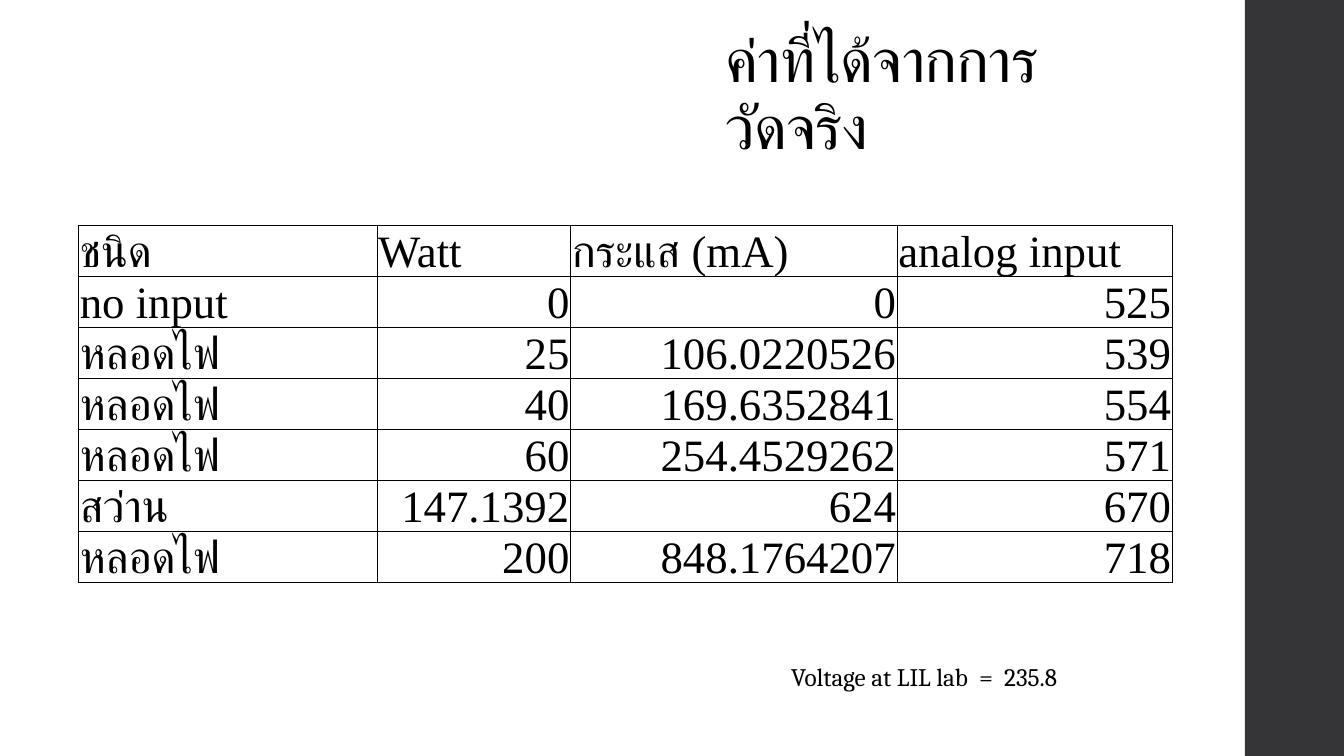
from pptx import Presentation
from pptx.dml.color import RGBColor
from pptx.enum.shapes import MSO_SHAPE as Kind
from pptx.enum.text import MSO_ANCHOR as Anchor, MSO_AUTO_SIZE as Fit, PP_ALIGN as Align
from pptx.oxml import parse_xml
from pptx.util import Cm, Pt

TITLE = "ค่าที่ได้จากการวัดจริง"
NOTE = "Voltage at LIL lab  =  235.8 "
ROWS = [
    ("ชนิด", "Watt ", "กระแส (mA)", "analog input"),
    ("no input", "0", "0", "525"),
    ("หลอดไฟ", "25", "106.0220526", "539"),
    ("หลอดไฟ", "40", "169.6352841", "554"),
    ("หลอดไฟ", "60", "254.4529262", "571"),
    ("สว่าน", "147.1392", "624", "670"),
    ("หลอดไฟ", "200", "848.1764207", "718"),
]
WIDTHS = (7.52, 4.88, 8.23, 6.93)
HIGH = 1.28
BLACK, DARK = "000000", "353537"
NS = "http://schemas.openxmlformats.org/drawingml/2006/main"


def color(code):
    return RGBColor.from_string(code)


def style(par, font, size, align=Align.LEFT):
    par.alignment = align
    par.font.name = font
    par.font.size = Pt(size)
    par.font.color.rgb = color(BLACK)


def border(cell):
    props = cell._tc.get_or_add_tcPr()
    for at, side in enumerate(("lnL", "lnR", "lnT", "lnB")):
        props.insert(at, parse_xml(
            f'<a:{side} xmlns:a="{NS}" w="{Pt(0.5)}"><a:solidFill>'
            f'<a:srgbClr val="{BLACK}"/></a:solidFill></a:{side}>'))


deck = Presentation()
deck.slide_width, deck.slide_height = Cm(33.87), Cm(19.05)
slide = deck.slides.add_slide(deck.slide_layouts[5])
shapes = slide.shapes

band = shapes.add_shape(Kind.RECTANGLE, Cm(31.37), 0, Cm(2.5), Cm(19.05))
band.shadow.inherit = False
band.fill.solid()
band.fill.fore_color.rgb = color(DARK)
band.line.fill.background()

title = shapes.title
title.left, title.top, title.width, title.height = Cm(18.03), Cm(1.98), Cm(8.59), Cm(2.24)
frame = title.text_frame
frame.text = TITLE
frame.word_wrap = True
frame.auto_size = Fit.NONE
frame.vertical_anchor = Anchor.BOTTOM
head = frame.paragraphs[0]
style(head, "Cambria", 44)
head.line_spacing = 0.9
head.runs[0]._r.get_or_add_rPr().set("spc", "-50")

table = shapes.add_table(len(ROWS), len(WIDTHS), Cm(1.98), Cm(5.69),
                         Cm(sum(WIDTHS)), Cm(HIGH * len(ROWS))).table
table.first_row = table.horz_banding = False
for col, width in zip(table.columns, WIDTHS):
    col.width = Cm(width)
for r, row in enumerate(ROWS):
    table.rows[r].height = Cm(HIGH)
    for c, text in enumerate(row):
        cell = table.cell(r, c)
        cell.text = text
        cell.vertical_anchor = Anchor.BOTTOM
        cell.margin_left = cell.margin_right = cell.margin_top = Cm(0.03)
        cell.margin_bottom = 0
        cell.fill.background()
        border(cell)
        style(cell.text_frame.paragraphs[0], "Times New Roman", 32,
              Align.RIGHT if r and c else Align.LEFT)

note = shapes.add_textbox(Cm(19.69), Cm(16.54), Cm(9.53), Cm(1.02)).text_frame
note.word_wrap = True
note.auto_size = Fit.SHAPE_TO_FIT_TEXT
note.text = NOTE
style(note.paragraphs[0], "Cambria", 18)

deck.save("out.pptx")
